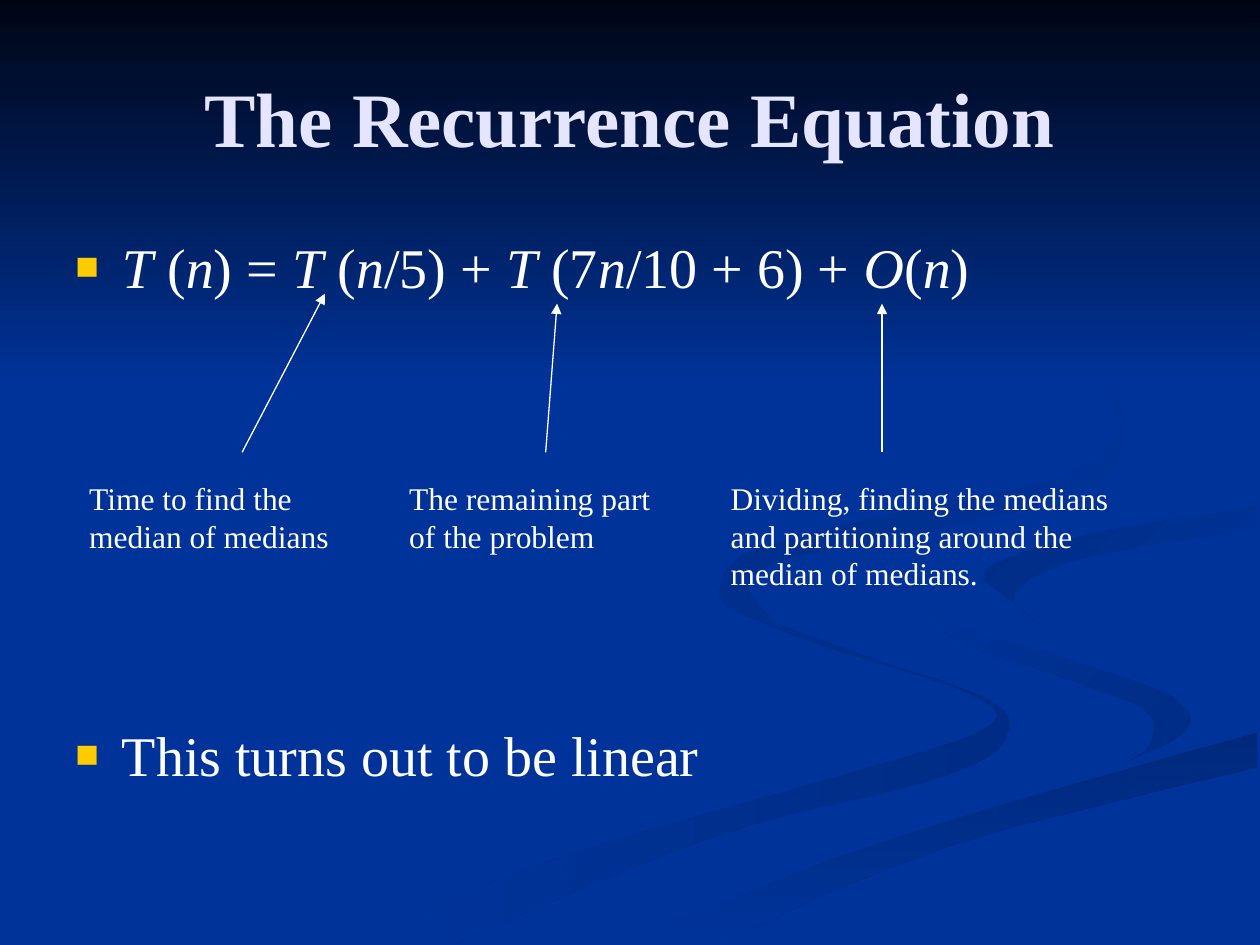
from dataclasses import dataclass
from itertools import groupby
from typing import Optional

from lxml.etree import SubElement
from pptx import Presentation
from pptx.dml.color import RGBColor
from pptx.enum.shapes import MSO_CONNECTOR, MSO_SHAPE
from pptx.enum.text import MSO_ANCHOR, PP_ALIGN
from pptx.oxml.ns import qn
from pptx.util import Cm, Pt

Point = tuple[float, float]


@dataclass(frozen=True)
class Theme:
    font: str = "Times New Roman"
    background: str = "003399"
    night: str = "000514"
    ribbon: str = "002C85"
    ribbon_dark: str = "00297C"
    title: str = "E5E5FF"
    text: str = "FFFFFF"
    bullet: str = "FFCC00"
    title_size: int = 44
    body_size: int = 32
    caption_size: int = 18
    arrow_width: float = 0.75


@dataclass(frozen=True)
class Ribbon:
    edges: tuple[list[Point], ...]
    start: str
    end: str
    angle: int = 0


@dataclass(frozen=True)
class Term:
    caption: str
    left: float
    width: float
    tail_x: float
    head: Point


THEME = Theme()
BASE = THEME.background
GRID = Cm(0.0254)
MARGIN, BODY_WIDTH = 1.27, 22.86
TAIL_Y, CAPTION_TOP = 9.12, 9.53

LOW_OUTER = [(575, 459), (594, 485), (682, 519), (781, 553), (800, 581),
             (756, 614), (564, 665), (361, 749)]
LOW_INNER = [(575, 459), (576, 480), (654, 513), (770, 551), (780, 579),
             (652, 620), (417, 690), (300, 749)]
MID_OUTER = [(724, 464), (745, 490), (850, 524), (931, 553), (941, 581), (894, 605)]
MID_INNER = [(724, 464), (755, 506), (838, 536), (907, 562), (914, 589), (894, 605)]
MID_TAIL = [(894, 605), (743, 643), (573, 703), (477, 749)]
FOOT_TOP = [(503, 749), (630, 693), (797, 638), (998, 581)]
FOOT_BOTTOM = [(998, 609), (752, 672), (571, 749)]
SIDE_BOTTOM = [(998, 538), (866, 509), (786, 473), (781, 460)]
SIDE_OUTER = [(781, 460), (791, 447), (865, 424), (998, 402)]
SIDE_INNER = [(998, 420), (859, 443), (805, 472), (826, 496)]
SIDE_TOP = [(998, 387), (851, 411), (742, 439), (724, 464)]
HIGH_OUTER = [(762, 233), (864, 291), (894, 344), (855, 391), (739, 421),
              (624, 444), (594, 466), (622, 500)]
HIGH_INNER = [(762, 233), (846, 279), (889, 335), (842, 378), (704, 409),
              (589, 441), (580, 474), (622, 500)]

RIBBONS = [
    Ribbon((LOW_OUTER, LOW_INNER[::-1]), THEME.ribbon, BASE, 180),
    Ribbon((MID_OUTER, MID_INNER[::-1]), THEME.ribbon, BASE, 225),
    Ribbon((FOOT_TOP, FOOT_BOTTOM), THEME.ribbon_dark, BASE, 90),
    Ribbon((MID_OUTER, MID_TAIL, FOOT_TOP, SIDE_BOTTOM, SIDE_OUTER, SIDE_TOP), BASE, BASE),
    Ribbon((SIDE_OUTER, SIDE_INNER), BASE, THEME.ribbon, 225),
    Ribbon((HIGH_OUTER, HIGH_INNER[::-1]), BASE, THEME.ribbon, 225),
]

TERMS = [
    Term("Time to find the\nmedian of medians", 1.55, 6.32, 4.88, (6.55, 5.92)),
    Term("The remaining part\nof the problem", 8, 6.4, 11, (11.23, 6.12)),
    Term("Dividing, finding the medians\nand partitioning around the\nmedian of medians.",
         14.48, 9.47, 17.78, (17.78, 6.12)),
]


def rgb(value: str) -> RGBColor:
    return RGBColor.from_string(value)


def smooth_edge(points: list[Point], steps: int = 5) -> list[Point]:
    padded = [points[0], *points, points[-1]]
    curve = []
    for a, b, c, d in zip(padded, padded[1:], padded[2:], padded[3:]):
        for t in (i / steps for i in range(steps)):
            curve.append(tuple(
                q + t * (r - p + t * (2 * p - 5 * q + 4 * r - s
                                      + t * (3 * (q - r) + s - p))) / 2
                for p, q, r, s in zip(a, b, c, d)))
    return [*curve, points[-1]]


def paint(sp, start: str, end: str, angle: int) -> None:
    sp.shadow.inherit = False
    sp.line.fill.background()
    if start == end:
        sp.fill.solid()
        sp.fill.fore_color.rgb = rgb(start)
        return
    sp.fill.gradient()
    sp.fill.gradient_angle = 360 - angle
    for stop, color in zip(sp.fill.gradient_stops, (start, end)):
        stop.color.rgb = rgb(color)


def add_ribbon(s, ribbon: Ribbon) -> None:
    first, *rest = [pt for edge in ribbon.edges for pt in smooth_edge(edge)]
    builder = s.shapes.build_freeform(*first, scale=GRID)
    builder.add_line_segments(rest, close=True)
    paint(builder.convert_to_shape(), ribbon.start, ribbon.end, ribbon.angle)


def add_bullet(p, color: str) -> None:
    pPr = p._p.get_or_add_pPr()
    pPr.set("marL", str(Cm(0.94)))
    pPr.set("indent", str(-Cm(0.94)))
    SubElement(SubElement(pPr, qn("a:buClr")), qn("a:srgbClr"), val=color)
    SubElement(pPr, qn("a:buSzPct"), val="70000")
    SubElement(pPr, qn("a:buFont"), typeface=THEME.font)
    SubElement(pPr, qn("a:buChar"), char="■")


def add_text(s, text: str, left: float, top: float, width: float, height: float, *,
             size: int, color: str = THEME.text, bold: bool = False,
             formula: bool = False, bullet: Optional[str] = None,
             align: PP_ALIGN = PP_ALIGN.LEFT,
             anchor: MSO_ANCHOR = MSO_ANCHOR.TOP) -> None:
    tf = s.shapes.add_textbox(Cm(left), Cm(top), Cm(width), Cm(height)).text_frame
    tf.word_wrap = True
    tf.vertical_anchor = anchor
    for i, line in enumerate(text.split("\n")):
        p = tf.add_paragraph() if i else tf.paragraphs[0]
        p.alignment = align
        if bullet:
            add_bullet(p, bullet)
        parts = groupby(line, str.isalpha) if formula else [(False, line)]
        for italic, part in parts:
            r = p.add_run()
            r.text = "".join(part)
            r.font.name = THEME.font
            r.font.size = Pt(size)
            r.font.bold = bold
            r.font.italic = italic
            r.font.color.rgb = rgb(color)


def add_arrow(s, tail: Point, head: Point) -> None:
    ends = [Cm(v) for v in (*tail, *head)]
    sp = s.shapes.add_connector(MSO_CONNECTOR.STRAIGHT, *ends)
    sp.line.color.rgb = rgb(THEME.text)
    sp.line.width = Pt(THEME.arrow_width)
    SubElement(sp.line._get_or_add_ln(), qn("a:tailEnd"), type="triangle")
    SubElement(sp._element.spPr, qn("a:effectLst"))


def main() -> None:
    prs = Presentation()
    prs.slide_width, prs.slide_height = Cm(25.4), Cm(19.05)
    s = prs.slides.add_slide(prs.slide_layouts[6])
    s.background.fill.solid()
    s.background.fill.fore_color.rgb = rgb(BASE)
    for ribbon in RIBBONS:
        add_ribbon(s, ribbon)
    sky = s.shapes.add_shape(MSO_SHAPE.RECTANGLE, 0, 0, prs.slide_width, Cm(7.82))
    paint(sky, THEME.night, BASE, 90)
    add_text(s, "The Recurrence Equation", MARGIN, 0.76, BODY_WIDTH, 3.18,
             size=THEME.title_size, color=THEME.title, bold=True,
             align=PP_ALIGN.CENTER, anchor=MSO_ANCHOR.MIDDLE)
    add_text(s, "T (n) = T (n/5) + T (7n/10 + 6) + O(n)", MARGIN, 4.57, BODY_WIDTH, 1.6,
             size=THEME.body_size, formula=True, bullet=THEME.bullet)
    add_text(s, "This turns out to be linear", MARGIN, 14.4, BODY_WIDTH, 1.6,
             size=THEME.body_size, bullet=THEME.bullet)
    for term in TERMS:
        add_arrow(s, (term.tail_x, TAIL_Y), term.head)
        add_text(s, term.caption, term.left, CAPTION_TOP, term.width, 1.78,
                 size=THEME.caption_size)
    prs.save("out.pptx")


if __name__ == "__main__":
    main()
